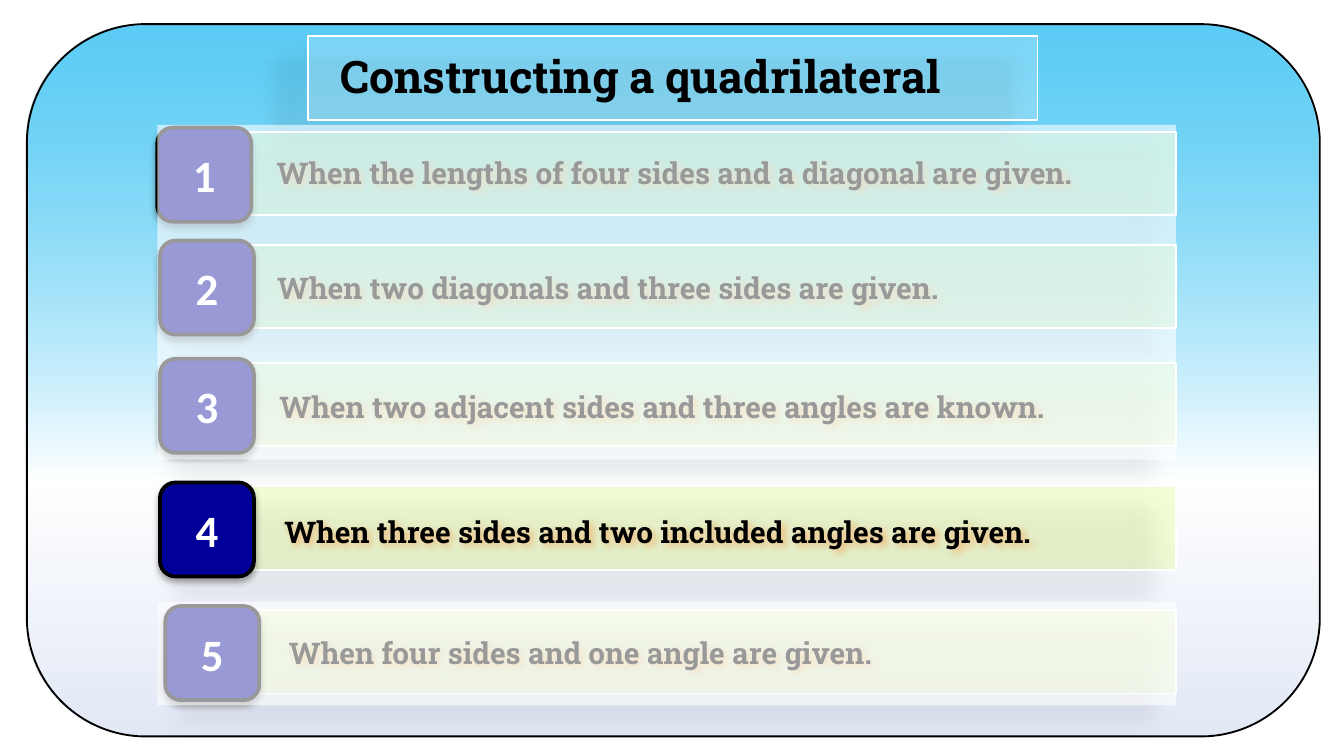
"""Builds the slide that lists five ways of constructing a quadrilateral."""
from lxml.etree import SubElement
from pptx import Presentation
from pptx.dml.color import RGBColor
from pptx.enum.shapes import MSO_SHAPE as Shape
from pptx.enum.text import MSO_ANCHOR as Anchor, MSO_AUTO_SIZE as AutoSize, PP_ALIGN as Align
from pptx.oxml.ns import qn
from pptx.util import Inches, Pt

CELL = 0.1
COLORS = {
    "sky": "00B0F0",
    "white": "FFFFFF",
    "mist": "E1E8F5",
    "lime": "CCFF33",
    "navy": "000099",
    "black": "000000",
    "glow": "F79646",
}
BAR_SHADOW = ("black", 28, 11.8, 19.7, 141)
TILE_SHADOW = ("black", 32, 3.5, 2.2, 90)
LABEL_SHADOW = ("glow", 60, 4, 2, 45)
RIGHT_EDGE = 87.5
TILE_SIZE = 7
BAR_HEIGHT = 6.2
CASES = [
    ("When the lengths of four sides and a diagonal are given.", 11.7, 9.5, 12.3, 10.6, 82),
    ("When two diagonals and three sides are given.", 11.9, 17.9, 13.5, 19.2, 68),
    ("When two adjacent sides and three angles are known.", 11.9, 26.7, 12.8, 28, 78.4),
    ("When three sides and two included angles are given.", 11.9, 35.9, 13.3, 37.3, 76.8),
    ("When four sides and one angle are given.", 12.3, 45.1, 15, 46.3, 60.5),
]


def grid(*cells):
    """Turn columns and rows of the grid into lengths."""
    return [Inches(cell * CELL) for cell in cells]


def color(name):
    """Look up a named colour."""
    return RGBColor.from_string(COLORS[name])


def add_color(parent, name, alpha):
    """Add a colour with an opacity in percent to an XML element."""
    element = SubElement(parent, qn("a:srgbClr"), val=COLORS[name])
    SubElement(element, qn("a:alpha"), val=str(alpha * 1000))


def add_shadow(shape, name, alpha, blur, distance, angle):
    """Cast an outer shadow from a shape."""
    effects = shape.element.spPr.find(qn("a:effectLst"))
    shadow = SubElement(effects, qn("a:outerShdw"), blurRad=str(Pt(blur)), dist=str(Pt(distance)),
                        dir=str(angle * 60000), algn="tl", rotWithShape="0")
    add_color(shadow, name, alpha)


def add_box(shapes, kind, cells, fill=None, alpha=100, line=None, width=1, shadow=None):
    """Add a preset shape with its fill, outline and shadow."""
    shape = shapes.add_shape(kind, *grid(*cells))
    shape.shadow.inherit = False
    if fill:
        shape.fill.solid()
        shape.fill.fore_color.rgb = color(fill)
        if alpha < 100:
            fill_color = shape.element.spPr.find(f"{qn('a:solidFill')}/{qn('a:srgbClr')}")
            SubElement(fill_color, qn("a:alpha"), val=str(alpha * 1000))
    else:
        shape.fill.background()
    if line:
        shape.line.color.rgb = color(line)
        shape.line.width = Pt(width)
    else:
        shape.line.fill.background()
    if shadow:
        add_shadow(shape, *shadow)
    return shape


def write(shape, text, size, font, ink, align=Align.LEFT, anchor=Anchor.TOP):
    """Write one bold run into a shape."""
    frame = shape.text_frame
    frame.vertical_anchor = anchor
    paragraph = frame.paragraphs[0]
    paragraph.alignment = align
    run = paragraph.add_run()
    run.text = text
    run.font.size = Pt(size)
    run.font.name = font
    run.font.bold = True
    run.font.color.rgb = color(ink)


def add_backdrop(shapes):
    """Add the rounded panel that fades from sky to mist."""
    panel = add_box(shapes, Shape.ROUNDED_RECTANGLE, (2, 1.8, 96.2, 53), line="black")
    properties = panel.element.spPr
    gradient = properties.makeelement(qn("a:gradFill"), {"rotWithShape": "1"})
    stops = SubElement(gradient, qn("a:gsLst"))
    for position, name, alpha in ((0, "sky", 64), (64, "white", 100), (100, "mist", 100)):
        add_color(SubElement(stops, qn("a:gs"), pos=str(position * 1000)), name, alpha)
    SubElement(gradient, qn("a:lin"), ang="5400000", scaled="0")
    properties.replace(properties.find(qn("a:noFill")), gradient)


def add_case(slide, number, text, left, top, label_left, label_top, label_width):
    """Add one numbered case as a group of bar, label and tile."""
    shapes = slide.shapes.add_group_shape().shapes
    bar_left = left + TILE_SIZE / 2
    add_box(shapes, Shape.RECTANGLE, (bar_left, top + 0.3, RIGHT_EDGE - bar_left, BAR_HEIGHT),
            "lime", 20, "white", shadow=BAR_SHADOW)
    label = add_box(shapes, Shape.PARALLELOGRAM, (label_left, label_top, label_width, 4.5),
                    shadow=LABEL_SHADOW)
    label.text_frame.word_wrap = False
    label.text_frame.auto_size = AutoSize.SHAPE_TO_FIT_TEXT
    write(label, text, 16, "Roboto Slab", "black")
    tile = add_box(shapes, Shape.ROUNDED_RECTANGLE, (left, top, TILE_SIZE, TILE_SIZE),
                   "navy", line="black", width=2, shadow=TILE_SHADOW)
    write(tile, str(number), 24, "Calibri", "white", Align.CENTER, Anchor.MIDDLE)


def add_veil(shapes, top, height):
    """Fade the cases that are not in focus."""
    add_box(shapes, Shape.RECTANGLE, (11.7, top, RIGHT_EDGE - 11.7, height), "white", 60)


def add_title(slide, text):
    """Place the title on its translucent panel."""
    add_box(slide.shapes, Shape.RECTANGLE, (22.9, 2.7, 54.3, BAR_HEIGHT),
            "white", 20, "white", shadow=BAR_SHADOW)
    title = slide.shapes.title
    title.left, title.top, title.width, title.height = grid(24.3, 3.1, 51.5, 5)
    title.text_frame.word_wrap = True
    title.text_frame.auto_size = AutoSize.NONE
    write(title, text, 24, "Roboto Slab", "black")
    slide.shapes.element.append(title.element)


def main():
    """Build and save the presentation."""
    presentation = Presentation()
    presentation.slide_width, presentation.slide_height = grid(100, 56.25)
    slide = presentation.slides.add_slide(presentation.slide_layouts[5])
    add_backdrop(slide.shapes)
    for number, case in enumerate(CASES, 1):
        add_case(slide, number, *case)
    add_veil(slide.shapes, 44.8, 7.7)
    add_title(slide, "Constructing a quadrilateral")
    add_veil(slide.shapes, 9.3, 24.9)
    presentation.save("out.pptx")


if __name__ == "__main__":
    main()
